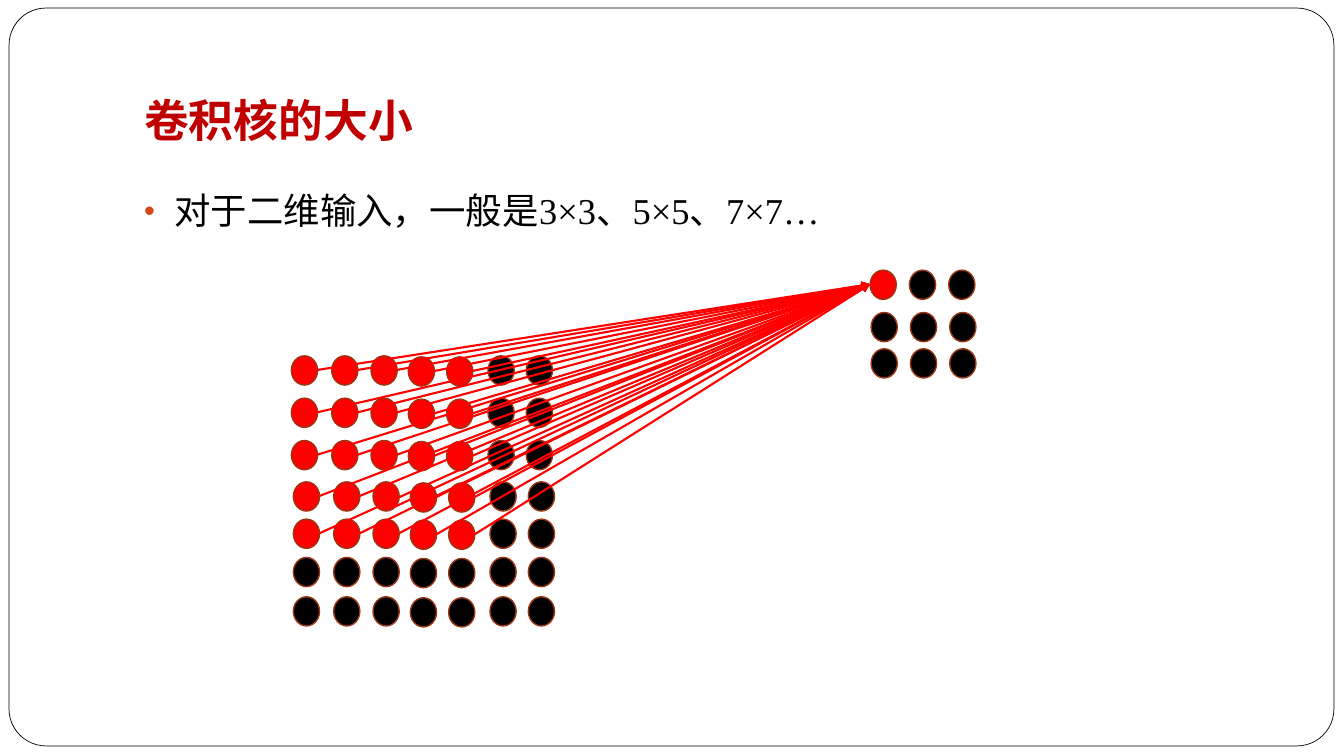
import pptx
import pptx.dml.color
import pptx.enum.lang
import pptx.enum.shapes
import pptx.enum.text
import pptx.oxml
import pptx.oxml.ns
import pptx.util
from lxml import etree

PX = 9144  # EMU in one px, 100 px to the inch
COLORS = {
    "white": "FFFFFF",
    "black": "000000",
    "title": "C00000",
    "bullet": "D34817",
    "red": "FF0000",
    "outline": "9C3511",
}
FONT = "Times New Roman"
DOT_WIDTH, DOT_HEIGHT = 26, 29
KERNEL_SIZE = 5

INPUT_COLUMNS = [289, 329, 368, 405, 443, 484, 522]
INPUT_ROWS = [353, 395, 437, 478, 515, 553, 592]
INPUT_SHIFTS = [0, 0, 0, 2, 2, 2, 2]
INPUT_DROPS = [0, 0, 0, 1, 1, 0, 0]
OUTPUT_COLUMNS = [863 + 39 * column for column in range(3)]
OUTPUT_ROWS = [268, 310, 346]
OUTPUT_SHIFTS = [0, 1, 1]
OUTPUT_DROPS = [0, 0, 0]
LOW_START = {(3, 2): (391, 503)}  # this link leaves its dot at the lower right


def px(*lengths):
    return [pptx.util.Emu(length * PX) for length in lengths]


def color(name):
    return pptx.dml.color.RGBColor.from_string(COLORS[name])


def add_drawing_element(parent, tag, **attributes):
    element = etree.SubElement(parent, pptx.oxml.ns.qn("a:" + tag))
    for name, value in attributes.items():
        element.set(name, value)
    return element


def write_text(frame, text, *, size, color_name, bold=False, bullet=None, indent=0):
    paragraph = frame.paragraphs[0]
    paragraph.alignment = pptx.enum.text.PP_ALIGN.LEFT
    paragraph.space_before = pptx.util.Pt(0)
    if bullet:
        properties = paragraph._p.get_or_add_pPr()
        properties.set("marL", str(indent * PX))
        properties.set("indent", str(-indent * PX))
        bullet_color = add_drawing_element(properties, "buClr")
        add_drawing_element(bullet_color, "srgbClr", val=COLORS["bullet"])
        add_drawing_element(properties, "buSzPct", val="85000")
        add_drawing_element(properties, "buChar", char=bullet)
    run = paragraph.add_run()
    run.text = text
    run.font.name = FONT
    run.font.size = pptx.util.Pt(size)
    run.font.bold = bold
    run.font.color.rgb = color(color_name)
    run.font.language_id = pptx.enum.lang.MSO_LANGUAGE_ID.SIMPLIFIED_CHINESE


class SlideBuilder:
    def __init__(self, presentation):
        self.slide = presentation.slides.add_slide(presentation.slide_layouts[1])
        self.shapes = self.slide.shapes

    def shape(self, parent, kind, box, fill, line, line_width):
        shape = parent.add_shape(kind, *px(*box))
        shape.shadow.inherit = False
        shape.fill.solid()
        shape.fill.fore_color.rgb = color(fill)
        shape.line.color.rgb = color(line)
        shape.line.width = pptx.util.Pt(line_width)
        return shape

    def frame(self, box):
        """Draw the rounded border behind everything else."""
        kind = pptx.enum.shapes.MSO_SHAPE.ROUNDED_RECTANGLE
        shape = self.shape(self.shapes, kind, box, "white", "black", 0.5)
        shape.adjustments[0] = 0.05
        shape.element.getparent().insert(2, shape.element)

    def placeholder(self, index, box, anchor, text, **style):
        shape = self.shapes.placeholders[index]
        shape.left, shape.top, shape.width, shape.height = px(*box)
        frame = shape.text_frame
        frame.word_wrap = True
        frame.auto_size = pptx.enum.text.MSO_AUTO_SIZE.NONE
        frame.vertical_anchor = anchor
        frame.margin_left, frame.margin_right = px(10, 10)
        frame.margin_top, frame.margin_bottom = px(5, 10)
        write_text(frame, text, **style)

    def dot_grid(self, columns, rows, shifts, drops, red_size):
        """Draw a group of dots and return each dot's corner by row and column."""
        group = self.shapes.add_group_shape()
        corners = {}
        for row, (top, shift) in enumerate(zip(rows, shifts)):
            for column, (left, drop) in enumerate(zip(columns, drops)):
                corner = (left + shift, top + drop)
                fill = "red" if max(row, column) < red_size else "black"
                self.shape(group.shapes, pptx.enum.shapes.MSO_SHAPE.OVAL,
                           (*corner, DOT_WIDTH, DOT_HEIGHT), fill, "outline", 1)
                corners[row, column] = corner
        return corners

    def arrow(self, start, end):
        connector = self.shapes.add_connector(
            pptx.enum.shapes.MSO_CONNECTOR.STRAIGHT, *px(*start, *end))
        connector.line.color.rgb = color("red")
        connector.line.width = pptx.util.Pt(1.5)
        add_drawing_element(connector.line._get_or_add_ln(), "tailEnd", type="triangle")
        add_drawing_element(connector.element.spPr, "effectLst")


def main():
    presentation = pptx.Presentation()
    presentation.slide_width, presentation.slide_height = px(1333, 750)
    builder = SlideBuilder(presentation)
    anchors = pptx.enum.text.MSO_ANCHOR

    builder.frame((9, 8, 1314, 732))
    builder.placeholder(0, (133, 30, 1133, 125), anchors.BOTTOM, "卷积核的大小",
                        size=32, color_name="title", bold=True)
    builder.placeholder(1, (133, 182, 1133, 450), anchors.TOP,
                        "对于二维输入，一般是3×3、5×5、7×7…",
                        size=26, color_name="black", bullet="•", indent=30)

    outputs = builder.dot_grid(OUTPUT_COLUMNS, OUTPUT_ROWS, OUTPUT_SHIFTS, OUTPUT_DROPS, 1)
    inputs = builder.dot_grid(INPUT_COLUMNS, INPUT_ROWS, INPUT_SHIFTS, INPUT_DROPS, KERNEL_SIZE)

    middle = DOT_HEIGHT // 2
    target_left, target_top = outputs[0, 0]
    for cell, (left, top) in inputs.items():
        if max(cell) < KERNEL_SIZE:
            start = LOW_START.get(cell, (left + DOT_WIDTH, top + middle))
            builder.arrow(start, (target_left, target_top + middle))

    presentation.save("out.pptx")


if __name__ == "__main__":
    main()
